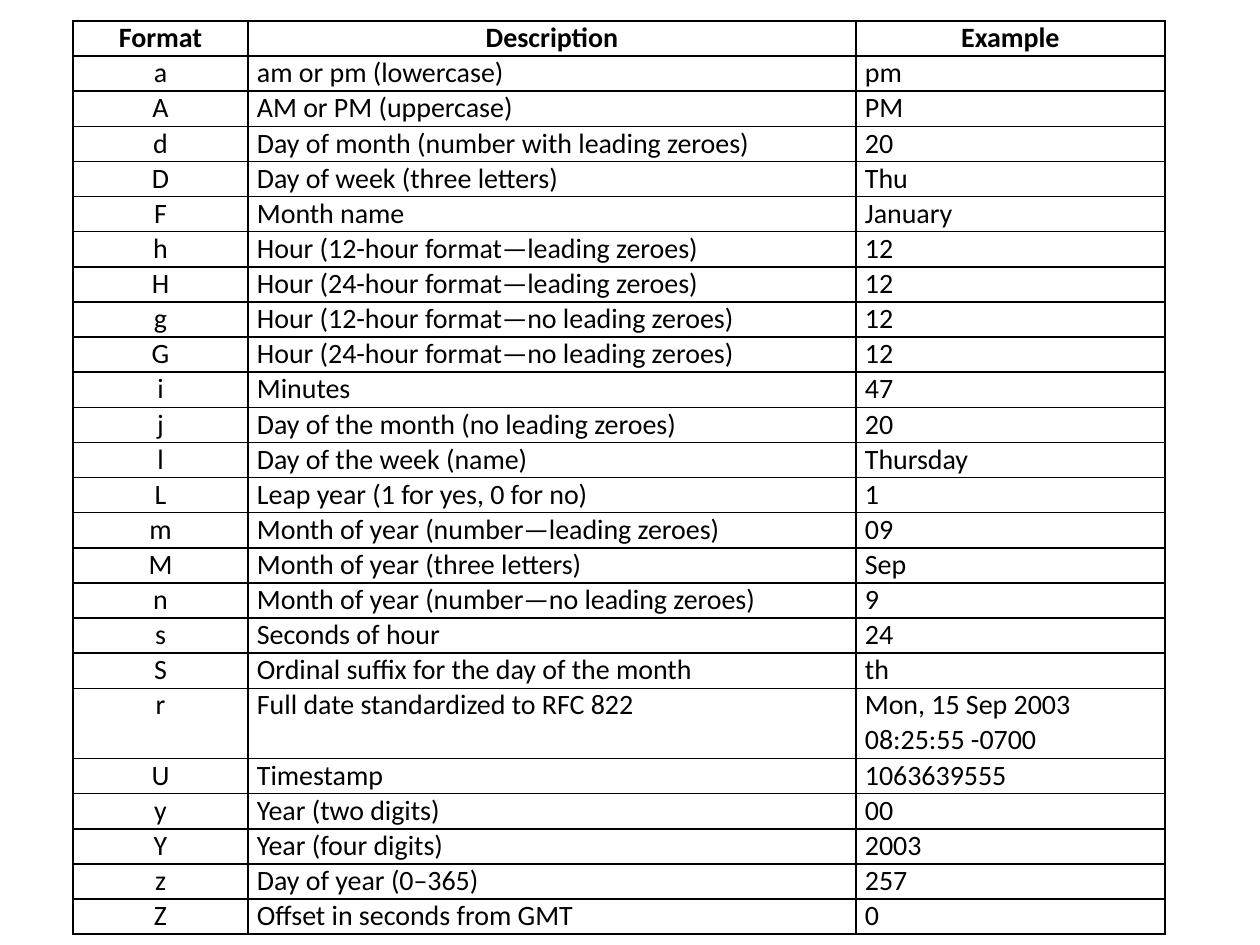
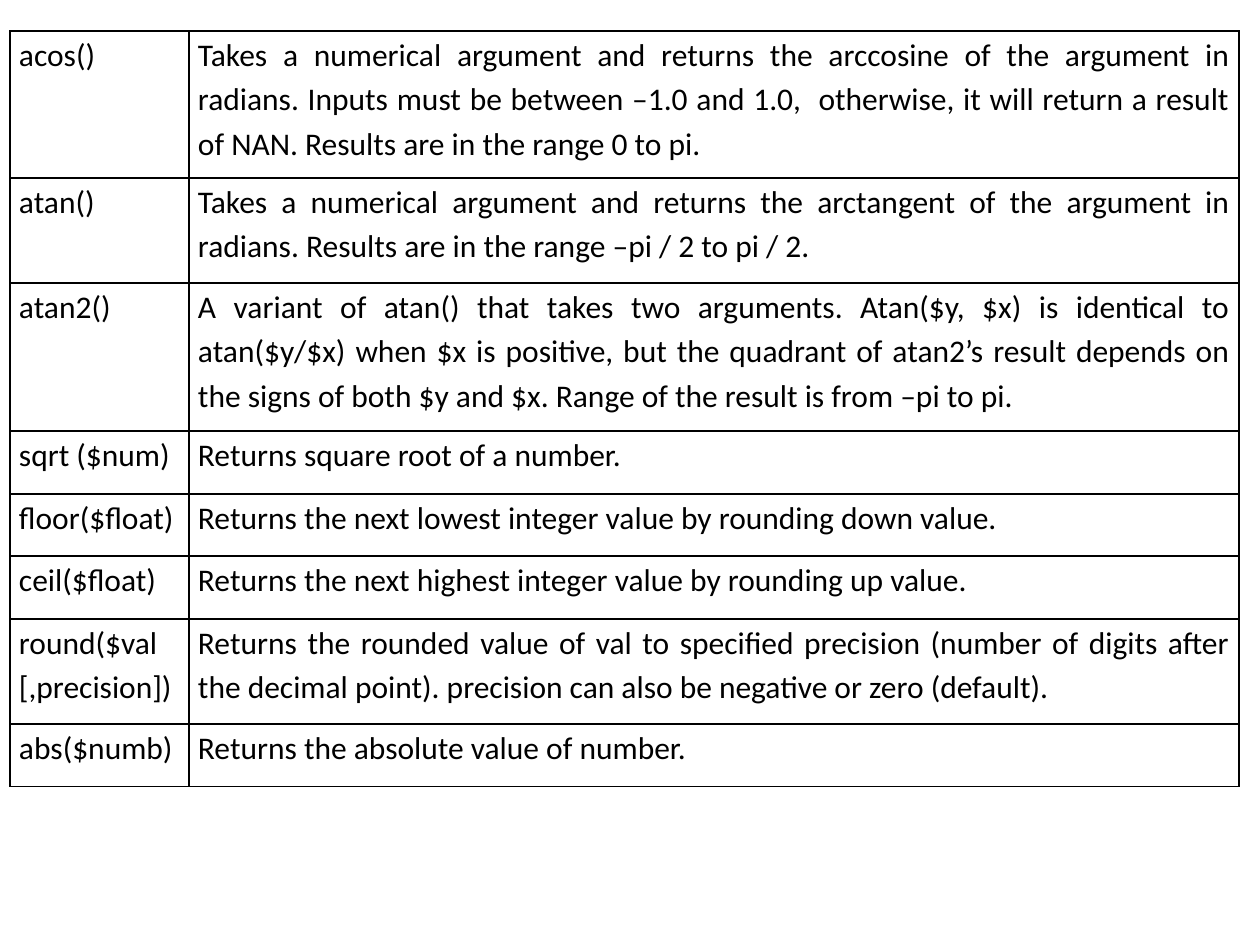
from pptx import Presentation
from pptx.dml.color import RGBColor
from pptx.enum.text import PP_ALIGN as Align
from pptx.oxml import parse_xml
from pptx.oxml.ns import nsdecls
from pptx.util import Emu, Pt

SCALE = 914400 // 126
FONT = "Calibri"
COLORS = {"text": "000000", "border": "000000"}
CELL_INSET = 9

DATE_HEADER = ("Format", "Description", "Example")
DATE_FORMATS = [
    ("a", "am or pm (lowercase)", "pm"),
    ("A", "AM or PM (uppercase)", "PM"),
    ("d", "Day of month (number with leading zeroes)", "20"),
    ("D", "Day of week (three letters)", "Thu"),
    ("F", "Month name", "January"),
    ("h", "Hour (12-hour format—leading zeroes)", "12"),
    ("H", "Hour (24-hour format—leading zeroes)", "12"),
    ("g", "Hour (12-hour format—no leading zeroes)", "12"),
    ("G", "Hour (24-hour format—no leading zeroes)", "12"),
    ("i", "Minutes", "47"),
    ("j", "Day of the month (no leading zeroes)", "20"),
    ("l", "Day of the week (name)", "Thursday"),
    ("L", "Leap year (1 for yes, 0 for no)", "1"),
    ("m", "Month of year (number—leading zeroes)", "09"),
    ("M", "Month of year (three letters)", "Sep"),
    ("n", "Month of year (number—no leading zeroes)", "9"),
    ("s", "Seconds of hour", "24"),
    ("S", "Ordinal suffix for the day of the month", "th"),
    ("r", "Full date standardized to RFC 822 ", "Mon, 15 Sep 2003 08:25:55 -0700"),
    ("U", "Timestamp", "1063639555"),
    ("y", "Year (two digits)", "00"),
    ("Y", "Year (four digits)", "2003"),
    ("z", "Day of year (0–365)", "257"),
    ("Z", "Offset in seconds from GMT", "0"),
]

MATH_FUNCTIONS = [
    ("acos()", "Takes a numerical argument and returns the arccosine of the "
     "argument in radians. Inputs must be between –1.0 and 1.0,  otherwise, it "
     "will return a result of NAN. Results are in the range 0 to pi."),
    ("atan()", "Takes a numerical argument and returns the arctangent of the "
     "argument in radians. Results are in the range –pi / 2 to pi / 2."),
    ("atan2()", "A variant of atan() that takes two arguments. Atan($y, $x) is "
     "identical to atan($y/$x) when $x is positive, but the quadrant of atan2’s "
     "result depends on the signs of both $y and $x. Range of the result is "
     "from –pi to pi."),
    ("sqrt ($num)", "Returns square root of a number. "),
    ("floor($float)", "Returns the next lowest integer value by rounding down value."),
    ("ceil($float)", "Returns the next highest integer value by rounding up value. "),
    ("round($val [,precision])", "Returns the rounded value of val to specified "
     "precision (number of digits after the decimal point). precision can also "
     "be negative or zero (default). "),
    ("abs($numb)", "Returns the absolute value of number."),
]
MATH_ROW_HEIGHTS = [147, 105, 148, 63, 62, 63, 105, 63]


def px(n):
    """Turn pixels into EMU."""
    return Emu(round(n * SCALE))


def write(cell, text, size=16, bold=False, align=Align.LEFT, spacing=None):
    """Write one formatted paragraph into a cell."""
    p = cell.text_frame.paragraphs[0]
    p.alignment = align
    p.line_spacing = spacing
    r = p.add_run()
    r.text = text
    r.font.name = FONT
    r.font.size = Pt(size)
    r.font.bold = bold
    r.font.color.rgb = RGBColor.from_string(COLORS["text"])


def add_borders(cell):
    """Draw a thin line on all four sides of a cell."""
    tc_pr = cell._tc.get_or_add_tcPr()
    for i, side in enumerate(("lnL", "lnR", "lnT", "lnB")):
        line = parse_xml(
            f'<a:{side} {nsdecls("a")} w="{Pt(1)}"><a:solidFill>'
            f'<a:srgbClr val="{COLORS["border"]}"/></a:solidFill></a:{side}>')
        tc_pr.insert(i, line)


def add_grid(s, left, top, widths, heights):
    """Add an empty, unfilled table with borders."""
    frame = s.shapes.add_table(len(heights), len(widths), px(left), px(top),
                               px(sum(widths)), px(sum(heights)))
    table = frame.table
    table.first_row = table.horz_banding = False
    for column, width in zip(table.columns, widths):
        column.width = px(width)
    for row, height in zip(table.rows, heights):
        row.height = px(height)
    for cell in table.iter_cells():
        cell.fill.background()
        cell.margin_left = cell.margin_right = px(CELL_INSET)
        cell.margin_top = cell.margin_bottom = 0
        add_borders(cell)
    return table


def add_date_formats(s):
    """Build the table of date format characters."""
    rows = [DATE_HEADER] + DATE_FORMATS
    lines = [2 if row[0] == "r" else 1 for row in rows]
    line_height = 914 / sum(lines)
    table = add_grid(s, 73, 21, [175, 608, 309], [n * line_height for n in lines])
    for i, row in enumerate(rows):
        for j, text in enumerate(row):
            centred = i == 0 or j == 0
            write(table.cell(i, j), text, bold=i == 0,
                  align=Align.CENTER if centred else Align.LEFT)


def add_math_functions(s):
    """Build the table of math functions."""
    table = add_grid(s, 10, 31, [179, 1050], MATH_ROW_HEIGHTS)
    for i, row in enumerate(MATH_FUNCTIONS):
        for j, text in enumerate(row):
            write(table.cell(i, j), text, size=18, align=Align.JUSTIFY, spacing=1.15)


def main():
    """Build and save both slides."""
    prs = Presentation()
    prs.slide_width, prs.slide_height = px(1260), px(945)
    for build in (add_date_formats, add_math_functions):
        build(prs.slides.add_slide(prs.slide_layouts[6]))
    prs.save("out.pptx")


main()
